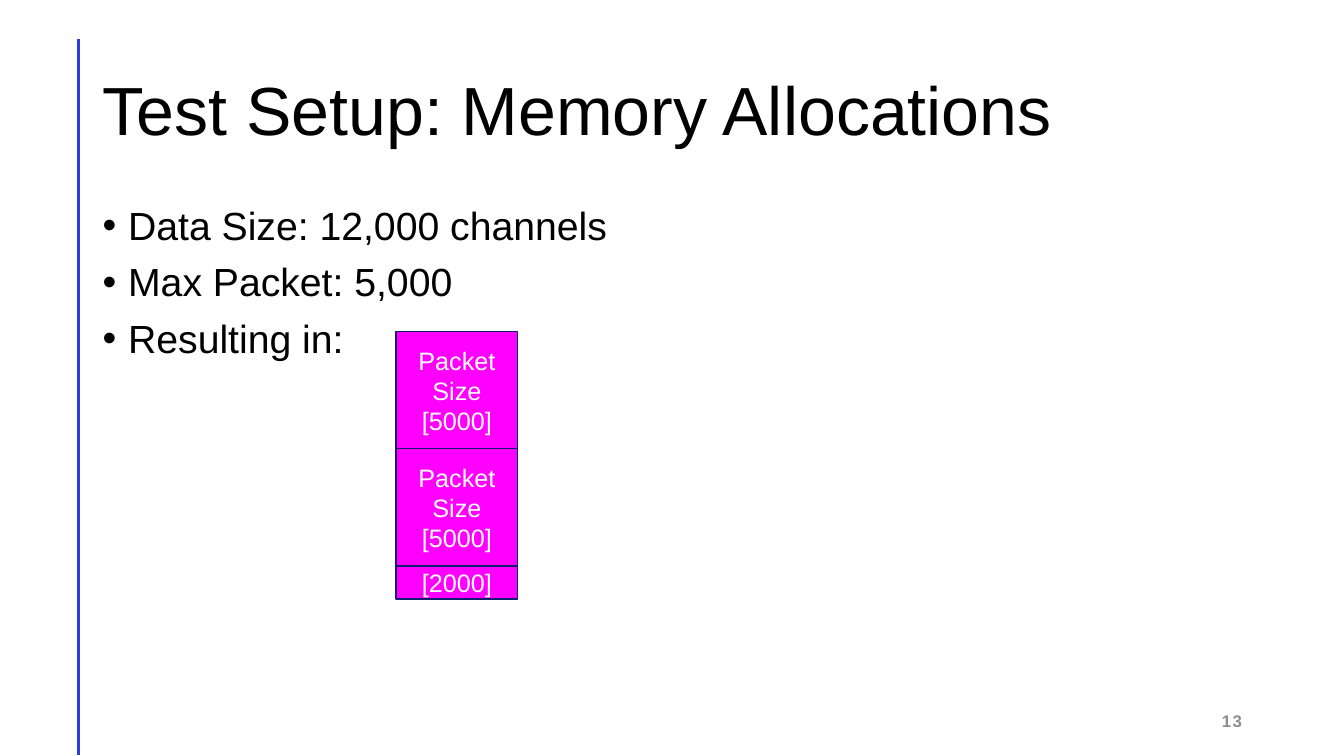
from lxml import etree
from pptx import Presentation
from pptx.dml.color import RGBColor
from pptx.enum.shapes import MSO_CONNECTOR, MSO_SHAPE
from pptx.enum.text import MSO_ANCHOR, PP_ALIGN
from pptx.oxml.ns import qn
from pptx.util import Cm, Pt

FONT = "Arial"
LEFT = 2.34
PACKETS = [
    (["Packet Size", "[5000]"], 2.95),
    (["Packet Size", "[5000]"], 2.95),
    (["[2000]"], 0.84),
]


def paint(color, value):
    color.rgb = RGBColor.from_string(value)


def add_run(paragraph, text, size, color, bold=False):
    run = paragraph.add_run()
    run.text = text
    run.font.name = FONT
    run.font.size = Pt(size)
    run.font.bold = bold
    paint(run.font.color, color)
    return run


def paragraphs(frame, lines):
    """Yield each line with its paragraph, using the frame's first one first."""
    for index, line in enumerate(lines):
        yield line, frame.add_paragraph() if index else frame.paragraphs[0]


def add_text_frame(slide, left, top, width, height, anchor=MSO_ANCHOR.MIDDLE):
    box = slide.shapes.add_textbox(Cm(left), Cm(top), Cm(width), Cm(height))
    frame = box.text_frame
    frame.word_wrap = True
    frame.vertical_anchor = anchor
    return frame


def add_side_rule(slide):
    rule = slide.shapes.add_connector(
        MSO_CONNECTOR.STRAIGHT, Cm(1.98), Cm(0.99), Cm(1.98), Cm(19.02))
    rule.line.width = Pt(2)
    paint(rule.line.color, "2B3FE0")
    etree.SubElement(rule._element.spPr, qn("a:effectLst"))


def add_title(slide, text):
    title = add_text_frame(slide, LEFT, 1.02, 29.21, 3.68).paragraphs[0]
    title.line_spacing = 0.9
    add_run(title, text, 48.6, "000000")


def add_bullets(slide, lines):
    frame = add_text_frame(slide, LEFT, 5.08, 14.6, 12.09, MSO_ANCHOR.TOP)
    for line, item in paragraphs(frame, lines):
        properties = item._p.get_or_add_pPr()
        properties.set("marL", str(Cm(0.64)))
        properties.set("indent", str(-Cm(0.64)))
        etree.SubElement(properties, qn("a:buFont"), typeface=FONT)
        etree.SubElement(properties, qn("a:buChar"), char="•")
        item.line_spacing = 0.9
        if item is not frame.paragraphs[0] and line != lines[0]:
            item.space_before = Pt(10)
        add_run(item, line, 28, "000000")


def add_packet(slide, lines, top, height):
    packet = slide.shapes.add_shape(
        MSO_SHAPE.RECTANGLE, Cm(9.98), Cm(top), Cm(3.07), Cm(height))
    packet.shadow.inherit = False
    packet.fill.solid()
    paint(packet.fill.fore_color, "FF00FF")
    paint(packet.line.color, "101C70")
    packet.line.width = Pt(1)
    frame = packet.text_frame
    frame.word_wrap = True
    frame.vertical_anchor = MSO_ANCHOR.MIDDLE
    for line, label in paragraphs(frame, lines):
        label.alignment = PP_ALIGN.CENTER
        add_run(label, line, 18, "FFFFFF")


def add_page_number(slide, number):
    page = add_text_frame(slide, 23.93, 17.65, 7.62, 1.02).paragraphs[0]
    page.alignment = PP_ALIGN.RIGHT
    run = add_run(page, number, 12, "8C8C8C", bold=True)
    run.font._element.set("spc", "100")


def main():
    deck = Presentation()
    deck.slide_width, deck.slide_height = Cm(33.87), Cm(19.05)
    slide = deck.slides.add_slide(deck.slide_layouts[6])
    add_side_rule(slide)
    add_title(slide, "Test Setup: Memory Allocations")
    add_bullets(slide, ["Data Size: 12,000 channels", "Max Packet: 5,000", "Resulting in:"])
    add_page_number(slide, "13")
    top = 8.36
    for lines, height in PACKETS:
        add_packet(slide, lines, top, height)
        top += height
    deck.save("out.pptx")


if __name__ == "__main__":
    main()
